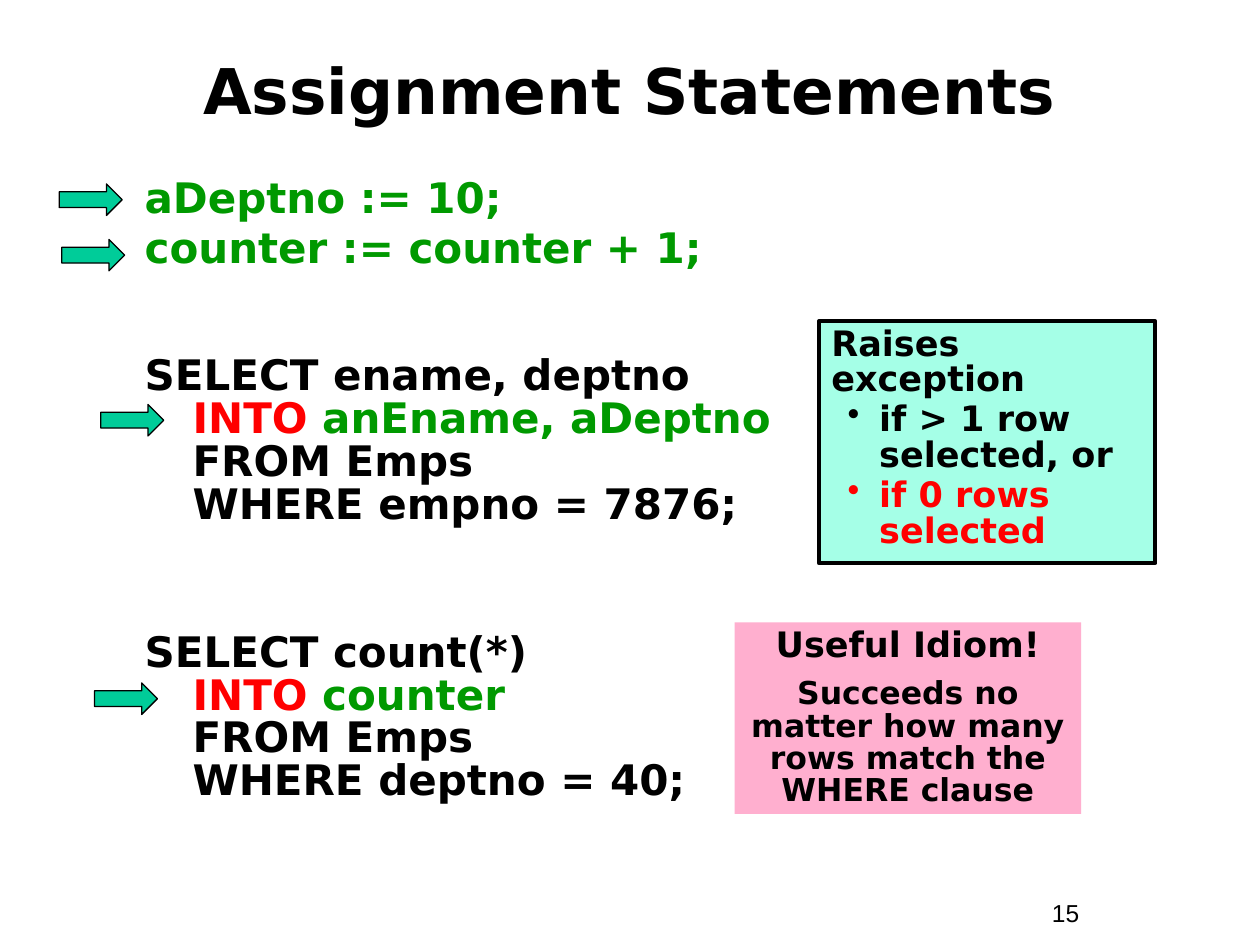
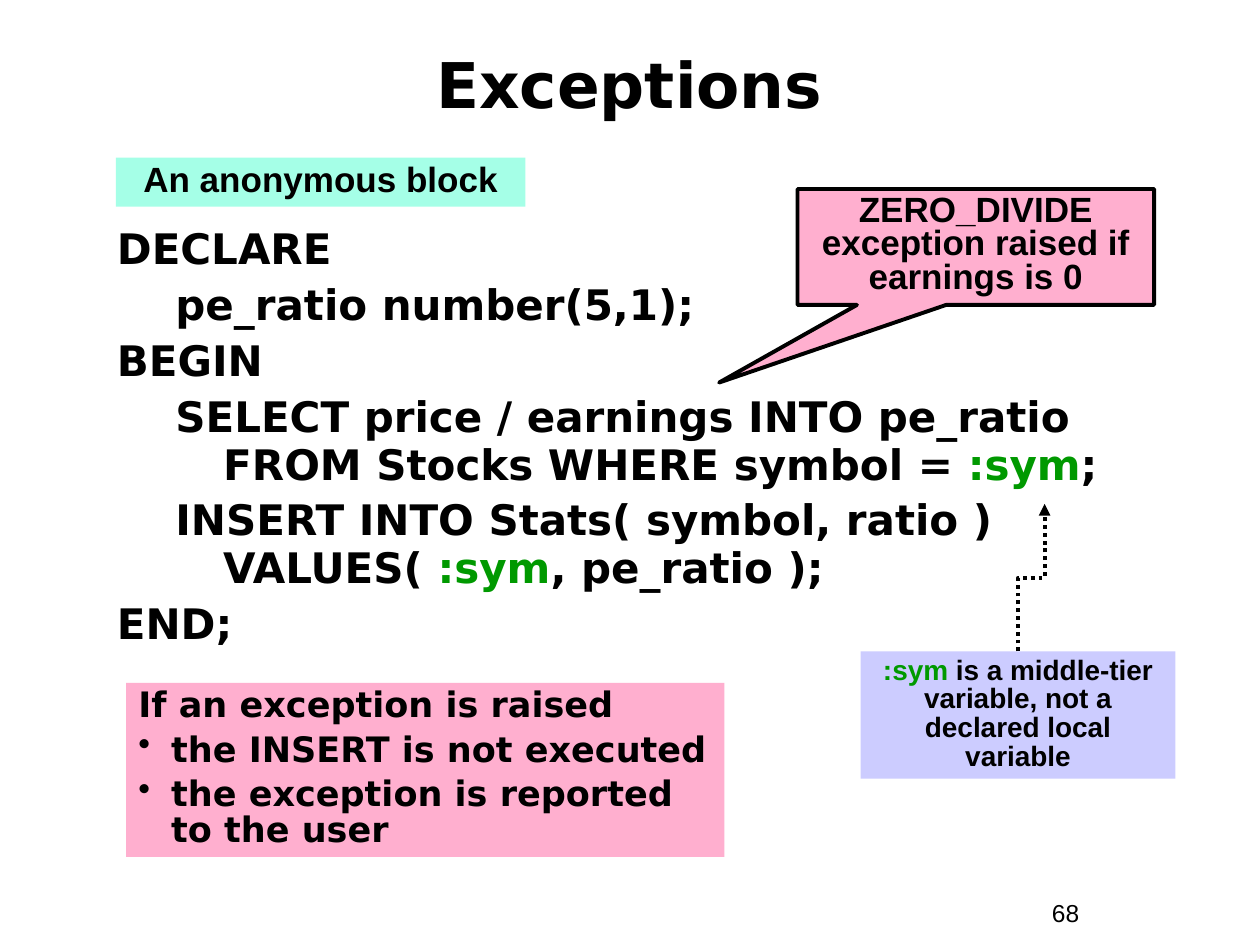
from lxml import etree
from pptx import Presentation, util as u
from pptx.dml.color import RGBColor
from pptx.enum import dml, shapes, text
from pptx.oxml.ns import qn

COLOURS = {"ink": "000000", "paper": "FFFFFF", "variable": "009900", "alert": "FF0000",
           "arrow": "00CC99", "mint": "A5FFE7", "pink": "FFAFCF", "lilac": "CCCCFF"}
CODE_FONT, NOTE_FONT = "DejaVu Sans", "Arial"
CENTER, LEFT = text.PP_ALIGN.CENTER, text.PP_ALIGN.LEFT
RECT = shapes.MSO_SHAPE.RECTANGLE
CALLOUT = shapes.MSO_SHAPE.RECTANGULAR_CALLOUT
ARROW_SIZE = (0.5, 0.25)

# A paragraph is a dict: runs of (words, colour), plus what differs from its box.
ASSIGNMENTS = {
    "title": "Assignment Statements", "title_height": 0.75, "number": "15",
    "boxes": [
        {"at": (1.05, 1.37, 6.83, 5.21), "size": 24, "line": 0.85, "before": 4.5,
         "hang": (0.38, -0.38), "paragraphs": [
             {"runs": [("aDeptno := 10;", "variable")]},
             {"runs": [("counter := counter + 1;", "variable")]},
             {"before": 48, "runs": [
                 ("SELECT ename, deptno\n", "ink"), ("INTO", "alert"),
                 (" anEname, aDeptno\n", "variable"),
                 ("FROM Emps\nWHERE empno = 7876;", "ink")]},
             {"before": 60, "runs": [
                 ("SELECT count(*)\n", "ink"), ("INTO", "alert"),
                 (" counter\n", "variable"),
                 ("FROM Emps\nWHERE deptno = 40;", "ink")]}]},
        {"at": (6.5, 2.55, 2.67, 1.92), "fill": "mint", "border": 2.25, "size": 20,
         "line": 0.85, "before": 2.5, "paragraphs": [
             {"runs": [("Raises exception", "ink")]},
             {"bullet": "ink", "hang": (0.38, -0.25),
              "runs": [("if > 1 row selected, or", "ink")]},
             {"bullet": "alert", "hang": (0.38, -0.25),
              "runs": [("if 0 rows selected", "alert")]}]},
        {"at": (5.83, 4.94, 2.75, 1.52), "fill": "pink", "size": 20, "line": 0.85,
         "align": CENTER, "paragraphs": [
             {"runs": [("Useful Idiom!", "ink")]},
             {"size": 18, "before": 8.5, "runs": [
                 ("Succeeds no matter how many rows match the WHERE clause", "ink")]}]},
    ],
    "arrows": [(0.47, 1.46), (0.49, 1.9), (0.8, 3.21), (0.75, 5.42)],
}

EXCEPTIONS = {
    "title": "Exceptions", "title_height": 0.67, "number": "68",
    "boxes": [
        {"at": (0.83, 1.75, 8.33, 4.58), "size": 24, "line": 0.95, "before": 4.5,
         "hang": (0.38, -0.38), "paragraphs": [
             {"runs": [("DECLARE", "ink")]},
             {"runs": [("    pe_ratio number(5,1);", "ink")]},
             {"runs": [("BEGIN", "ink")]},
             {"runs": [("    SELECT price / earnings INTO pe_ratio\n"
                        "    FROM Stocks WHERE symbol = ", "ink"),
                       (":sym", "variable"), (";", "ink")]},
             {"runs": [("    INSERT INTO Stats( symbol, ratio )\n    VALUES( ", "ink"),
                       (":sym", "variable"), (", pe_ratio );", "ink")]},
             {"runs": [("END;", "ink")]}]},
        {"at": (6.33, 1.5, 2.83, 0.92), "kind": CALLOUT, "tip": (-0.72, 1.17),
         "fill": "pink", "border": 2.25, "size": 20, "line": 0.8, "font": NOTE_FONT,
         "align": CENTER, "paragraphs": [
             {"runs": [("ZERO_DIVIDE exception raised if earnings is 0", "ink")]}]},
        {"at": (6.83, 5.17, 2.5, 1.01), "fill": "lilac", "size": 16, "line": 0.85,
         "font": NOTE_FONT, "align": CENTER, "paragraphs": [
             {"runs": [(":sym", "variable"),
                       (" is a middle-tier variable, not a declared local variable",
                        "ink")]}]},
        {"at": (1, 5.42, 4.75, 1.38), "fill": "pink", "size": 20, "line": 0.85,
         "before": 5, "hang": (0.26, -0.26), "paragraphs": [
             {"runs": [("If an exception is raised", "ink")]},
             {"bullet": "ink", "runs": [("the INSERT is not executed", "ink")]},
             {"bullet": "ink", "runs": [("the exception is reported to the user", "ink")]}]},
        {"at": (0.92, 1.25, 3.25, 0.39), "fill": "mint", "size": 20, "line": 0.85,
         "font": NOTE_FONT, "align": CENTER, "paragraphs": [
             {"runs": [("An anonymous block", "ink")]}]},
    ],
    "pointer": ((8.08, 5.17), (8.29, 4)),
}


def colour(name):
    return RGBColor.from_string(COLOURS[name])


def set_all(target, values):
    for key, value in values.items():
        setattr(target, key, value)


def add_bullet(paragraph, name):
    props = paragraph._p.get_or_add_pPr()
    tint = etree.SubElement(props, qn("a:buClr"))
    etree.SubElement(tint, qn("a:srgbClr"), val=COLOURS[name])
    etree.SubElement(props, qn("a:buChar"), char="•")


def write_paragraph(paragraph, look, is_first):
    left, indent = look.get("hang", (0, 0))
    props = paragraph._p.get_or_add_pPr()
    props.set("marL", str(u.Inches(left)))
    props.set("indent", str(u.Inches(indent)))
    if "bullet" in look:
        add_bullet(paragraph, look["bullet"])
    set_all(paragraph, {"alignment": look.get("align", LEFT),
                        "line_spacing": look.get("line", 1.0),
                        "space_before": u.Pt(0 if is_first else look.get("before", 0))})
    for words, tint in look["runs"]:
        for i, line in enumerate(words.split("\n")):
            if i:
                paragraph.add_line_break()
            if line:
                run = paragraph.add_run()
                run.text = line
                set_all(run.font, {"name": look.get("font", CODE_FONT),
                                   "size": u.Pt(look["size"]),
                                   "bold": look.get("bold", True)})
                run.font.color.rgb = colour(tint)


def paint(shape, fill, border=0):
    shape.shadow.inherit = False
    shape.fill.solid()
    shape.fill.fore_color.rgb = colour(fill)
    if border:
        shape.line.color.rgb = colour("ink")
        shape.line.width = u.Pt(border)
    else:
        shape.line.fill.background()


def add_box(slide, box):
    place = [u.Inches(n) for n in box["at"]]
    if "fill" in box:
        shape = slide.shapes.add_shape(box.get("kind", RECT), *place)
        paint(shape, box["fill"], box.get("border", 0))
        for i, value in enumerate(box.get("tip", ())):
            shape.adjustments[i] = value
    else:
        shape = slide.shapes.add_textbox(*place)
    frame = shape.text_frame
    set_all(frame, {"word_wrap": True,
                    "vertical_anchor": box.get("anchor", text.MSO_ANCHOR.TOP)})
    for i, content in enumerate(box["paragraphs"]):
        paragraph = frame.add_paragraph() if i else frame.paragraphs[0]
        write_paragraph(paragraph, {**box, **content}, i == 0)


def add_pointer(slide, start, end):
    """Dotted elbow that leaves upwards: a level elbow turned a quarter about its middle."""
    (x1, y1), (x2, y2) = start, end
    mid_x, mid_y = (x1 + x2) / 2, (y1 + y2) / 2
    half_run, half_rise = (y1 - y2) / 2, (x2 - x1) / 2
    pointer = slide.shapes.add_connector(
        shapes.MSO_CONNECTOR.ELBOW,
        u.Inches(mid_x + half_run), u.Inches(mid_y + half_rise),
        u.Inches(mid_x - half_run), u.Inches(mid_y - half_rise))
    pointer.line.color.rgb = colour("ink")
    set_all(pointer.line, {"width": u.Pt(2.25), "dash_style": dml.MSO_LINE.ROUND_DOT})
    props = pointer._element.spPr
    props.find(qn("a:xfrm")).set("rot", str(90 * 60000))
    etree.SubElement(props.find(qn("a:ln")), qn("a:tailEnd"), type="triangle")
    etree.SubElement(props, qn("a:effectLst"))


def add_slide(deck, content):
    slide = deck.slides.add_slide(deck.slide_layouts[6])
    slide.background.fill.solid()
    slide.background.fill.fore_color.rgb = colour("paper")
    number = {"at": (8.25, 7.08, 0.92, 0.34), "size": 14, "font": NOTE_FONT,
              "bold": False, "paragraphs": [{"runs": [(content["number"], "ink")]}]}
    title = {"at": (0.33, 0.33, 9.33, content["title_height"]), "size": 36,
             "align": CENTER, "anchor": text.MSO_ANCHOR.MIDDLE,
             "paragraphs": [{"runs": [(content["title"], "ink")]}]}
    for box in [number, title, *content["boxes"]]:
        add_box(slide, box)
    for corner in content.get("arrows", ()):
        arrow = slide.shapes.add_shape(shapes.MSO_SHAPE.RIGHT_ARROW,
                                       *[u.Inches(n) for n in corner + ARROW_SIZE])
        paint(arrow, "arrow", 0.75)
    if "pointer" in content:
        add_pointer(slide, *content["pointer"])


def main():
    deck = Presentation()
    set_all(deck, {"slide_width": u.Inches(10), "slide_height": u.Inches(7.5)})
    for content in (ASSIGNMENTS, EXCEPTIONS):
        add_slide(deck, content)
    deck.save("out.pptx")


if __name__ == "__main__":
    main()
